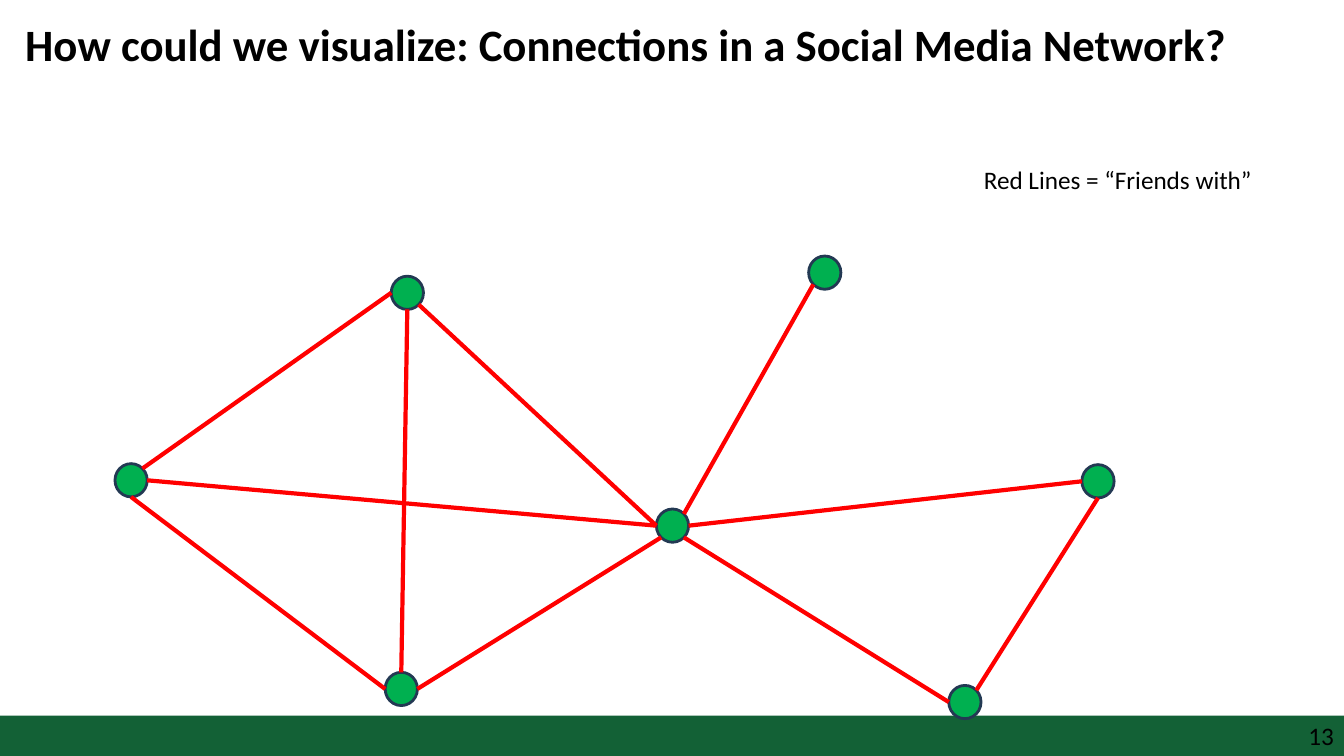
from dataclasses import dataclass
from math import cos, radians, sin

from lxml.etree import SubElement
from pptx import Presentation
from pptx.dml.color import RGBColor
from pptx.enum.shapes import MSO_CONNECTOR, MSO_SHAPE
from pptx.enum.text import MSO_AUTO_SIZE, PP_ALIGN
from pptx.oxml.ns import qn
from pptx.shapes.autoshape import Shape
from pptx.slide import Slide
from pptx.util import Inches, Pt

PERSON_WIDTH, PERSON_HEIGHT = 0.32, 0.33
SITES = ["top", "top left", "left", "bottom left",
         "bottom", "bottom right", "right", "top right"]


@dataclass
class Person:
    left: float
    top: float

    def site_point(self, site: str) -> tuple[float, float]:
        angle = radians(90 + 45 * SITES.index(site))
        return (self.left + PERSON_WIDTH / 2 * (1 + cos(angle)),
                self.top + PERSON_HEIGHT / 2 * (1 - sin(angle)))


@dataclass
class Friendship:
    first: str
    first_site: str
    second: str
    second_site: str


@dataclass
class Label:
    text: str
    left: float
    top: float
    width: float
    height: float
    font: dict
    inset: float = 0
    align: PP_ALIGN = PP_ALIGN.LEFT
    wrap: bool = True


PEOPLE = {
    "west": Person(1.14, 4.6),
    "northwest": Person(3.88, 2.74),
    "north": Person(8.02, 2.54),
    "hub": Person(6.51, 5.05),
    "southwest": Person(3.82, 6.67),
    "southeast": Person(9.41, 6.8),
    "east": Person(10.73, 4.61),
}

FRIENDSHIPS = [
    Friendship("west", "top right", "northwest", "left"),
    Friendship("west", "bottom", "southwest", "left"),
    Friendship("northwest", "bottom", "southwest", "top"),
    Friendship("northwest", "bottom right", "hub", "left"),
    Friendship("hub", "top right", "north", "bottom left"),
    Friendship("hub", "left", "west", "right"),
    Friendship("hub", "bottom left", "southwest", "right"),
    Friendship("hub", "right", "east", "left"),
    Friendship("hub", "bottom right", "southeast", "left"),
    Friendship("east", "bottom", "southeast", "top right"),
]

TITLE = Label("How could we visualize: Connections in a Social Media Network?",
              0.25, 0.17, 12.25, 2, {"size": Pt(32), "bold": True})
PAGE_NUMBER = Label("13", 10.16, 7.15, 3.07, 0.3, {"size": Pt(18)}, align=PP_ALIGN.RIGHT)
LEGEND = Label("Red Lines = “Friends with”", 9.66, 1.58, 3.16, 0.4,
               {"size": Pt(18)}, inset=0.1, wrap=False)


def color(hex_code: str) -> RGBColor:
    return RGBColor.from_string(hex_code)


def add_label(slide: Slide, label: Label) -> None:
    box = slide.shapes.add_textbox(Inches(label.left), Inches(label.top),
                                   Inches(label.width), Inches(label.height))
    frame = box.text_frame
    layout = {
        "word_wrap": label.wrap,
        "auto_size": MSO_AUTO_SIZE.NONE,
        "margin_left": Inches(label.inset),
        "margin_right": Inches(label.inset),
        "margin_top": Inches(label.inset / 2),
        "margin_bottom": Inches(label.inset / 2),
    }
    for name, value in layout.items():
        setattr(frame, name, value)
    paragraph = frame.paragraphs[0]
    paragraph.alignment = label.align
    run = paragraph.add_run()
    run.text = label.text
    for name, value in ({"name": "Calibri"} | label.font).items():
        setattr(run.font, name, value)
    run.font.color.rgb = color("000000")


def add_filled(slide: Slide, kind: MSO_SHAPE, left: float, top: float,
               width: float, height: float, fill: str) -> Shape:
    shape = slide.shapes.add_shape(kind, Inches(left), Inches(top),
                                   Inches(width), Inches(height))
    shape.shadow.inherit = False
    shape.fill.solid()
    shape.fill.fore_color.rgb = color(fill)
    return shape


def add_person(slide: Slide, person: Person) -> Shape:
    circle = add_filled(slide, MSO_SHAPE.OVAL, person.left, person.top,
                        PERSON_WIDTH, PERSON_HEIGHT, "00B050")
    circle.line.color.rgb = color("233953")
    circle.line.width = Pt(2)
    return circle


def add_friendship(slide: Slide, friendship: Friendship, circles: dict[str, Shape]) -> None:
    ends = [("a:stCxn", friendship.first, friendship.first_site),
            ("a:endCxn", friendship.second, friendship.second_site)]
    start, end = (PEOPLE[person].site_point(site) for _, person, site in ends)
    line = slide.shapes.add_connector(MSO_CONNECTOR.STRAIGHT,
                                      *map(Inches, start + end))
    line.line.color.rgb = color("FF0000")
    line.line.width = Pt(3)
    SubElement(line._element.spPr, qn("a:effectLst"))
    properties = line._element.find(f"{qn('p:nvCxnSpPr')}/{qn('p:cNvCxnSpPr')}")
    for tag, person, site in ends:
        SubElement(properties, qn(tag), id=str(circles[person].shape_id),
                   idx=str(SITES.index(site)))


def main() -> None:
    deck = Presentation()
    deck.slide_width, deck.slide_height = Inches(13.33), Inches(7.5)
    slide = deck.slides.add_slide(deck.slide_layouts[6])

    footer = add_filled(slide, MSO_SHAPE.RECTANGLE, 0, 7.1, 13.33, 0.4, "136136")
    footer.line.fill.background()
    for label in (TITLE, PAGE_NUMBER):
        add_label(slide, label)

    circles = {name: add_person(slide, person) for name, person in PEOPLE.items()}
    for friendship in FRIENDSHIPS:
        add_friendship(slide, friendship, circles)
    add_label(slide, LEGEND)

    deck.save("out.pptx")


if __name__ == "__main__":
    main()
